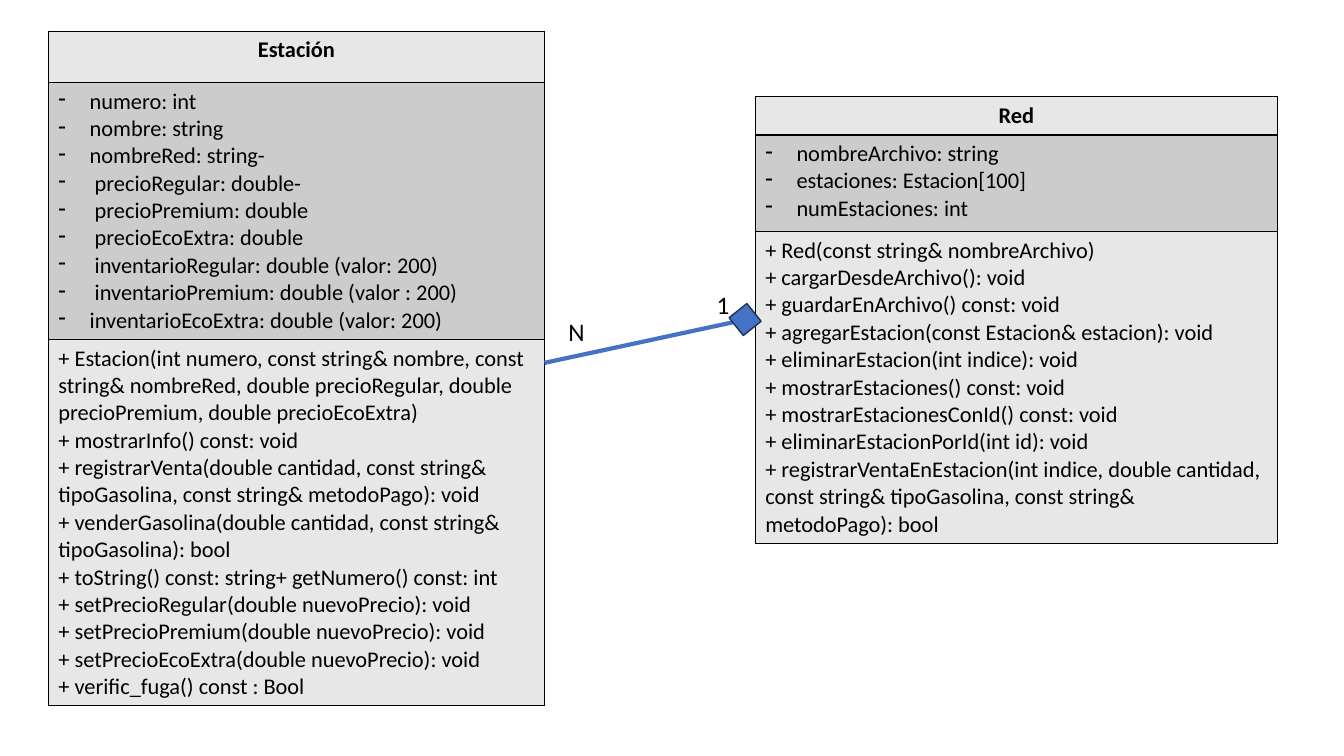
"""Draw a class diagram of stations and their network."""
from lxml.etree import SubElement as Sub
from pptx import Presentation
from pptx.dml.color import RGBColor as Rgb
from pptx.enum.shapes import MSO_CONNECTOR as Link, MSO_SHAPE as Kind
from pptx.enum.text import MSO_AUTO_SIZE as Auto, PP_ALIGN as Align
from pptx.oxml import parse_xml
from pptx.oxml.ns import nsdecls, qn
from pptx.util import Inches, Pt

HUES = {"ink": "000000", "pale": "E7E7E7", "gray": "CCCCCC",
        "blue": "4472C4", "navy": "1E3256"}
FONT = "Calibri"
DENT = 0.31

BOXES = [
    {
        "name": "Estación",
        "at": (0.48, 0.31, 4.92),
        "rows": (0.51, 2.55, 3.63),
        "data": [
            "numero: int",
            "nombre: string",
            "nombreRed: string-",
            " precioRegular: double-",
            " precioPremium: double",
            " precioEcoExtra: double",
            " inventarioRegular: double (valor: 200)",
            " inventarioPremium: double (valor : 200)",
            "inventarioEcoExtra: double (valor: 200)",
        ],
        "calls": [
            "+ Estacion(int numero, const string& nombre, const string& nombreRed, "
            "double precioRegular, double precioPremium, double precioEcoExtra)",
            "+ mostrarInfo() const: void",
            "+ registrarVenta(double cantidad, const string& tipoGasolina, "
            "const string& metodoPago): void",
            "+ venderGasolina(double cantidad, const string& tipoGasolina): bool",
            "+ toString() const: string+ getNumero() const: int",
            "+ setPrecioRegular(double nuevoPrecio): void",
            "+ setPrecioPremium(double nuevoPrecio): void",
            "+ setPrecioEcoExtra(double nuevoPrecio): void",
            "+ verific_fuga() const : Bool",
        ],
    },
    {
        "name": "Red",
        "at": (7.49, 0.96, 5.18),
        "rows": (0.38, 0.96, 3.09),
        "data": [
            "nombreArchivo: string",
            "estaciones: Estacion[100]",
            "numEstaciones: int",
        ],
        "calls": [
            "+ Red(const string& nombreArchivo)",
            "+ cargarDesdeArchivo(): void",
            "+ guardarEnArchivo() const: void",
            "+ agregarEstacion(const Estacion& estacion): void",
            "+ eliminarEstacion(int indice): void",
            "+ mostrarEstaciones() const: void",
            "+ mostrarEstacionesConId() const: void",
            "+ eliminarEstacionPorId(int id): void",
            "+ registrarVentaEnEstacion(int indice, double cantidad, "
            "const string& tipoGasolina, const string& metodoPago): bool",
        ],
    },
]
ENDS = [("1", (7.01, 2.82, 0.33, 0.4)), ("N", (5.54, 3.09, 0.36, 0.4))]
LINE = (5.4, 3.6, 7.49, 3.15)
GEM = (7.23, 3.01, 0.32, 0.32)
TURN = 6.4


def inch(nums):
    return [Inches(num) for num in nums]


def hue(name):
    return Rgb.from_string(HUES[name])


def style(para, size, bold=False):
    font = para.font
    font.name, font.size, font.bold = FONT, Pt(size), bold
    font.color.rgb = hue("ink")


def dash(para):
    props = para._p.get_or_add_pPr()
    props.set("marL", str(Inches(DENT)))
    props.set("indent", str(-Inches(DENT)))
    props.insert(0, parse_xml(f'<a:buChar {nsdecls("a")} char="-"/>'))


def edge(cell):
    props = cell._tc.get_or_add_tcPr()
    for spot, side in enumerate("LRTB"):
        props.insert(spot, parse_xml(
            f'<a:ln{side} {nsdecls("a")} w="{Pt(1)}"><a:solidFill>'
            f'<a:srgbClr val="{HUES["ink"]}"/></a:solidFill></a:ln{side}>'))


def add_box(shapes, box):
    left, top, wide = box["at"]
    table = shapes.add_table(3, 1, *inch((left, top, wide, sum(box["rows"])))).table
    table.first_row = table.horz_banding = False
    parts = ([box["name"]], box["data"], box["calls"])
    for row, (lines, high) in enumerate(zip(parts, box["rows"])):
        table.rows[row].height = Inches(high)
        cell = table.cell(row, 0)
        cell.fill.solid()
        cell.fill.fore_color.rgb = hue("gray" if row == 1 else "pale")
        edge(cell)
        cell.text_frame.text = "\n".join(lines)
        for para in cell.text_frame.paragraphs:
            style(para, 16, row == 0)
            if row == 0:
                para.alignment = Align.CENTER
            elif row == 1:
                dash(para)


def add_link(shapes):
    line = shapes.add_connector(Link.STRAIGHT, *inch(LINE))
    line.line.color.rgb = hue("blue")
    line.line.width = Pt(3)
    Sub(line._element.spPr, qn("a:effectLst"))
    gem = shapes.add_shape(Kind.DIAMOND, *inch(GEM))
    gem.rotation = TURN
    gem.shadow.inherit = False
    gem.fill.solid()
    gem.fill.fore_color.rgb = hue("blue")
    gem.line.color.rgb = hue("navy")
    gem.line.width = Pt(1)


def add_end(shapes, text, spot):
    frame = shapes.add_textbox(*inch(spot)).text_frame
    frame.word_wrap = False
    frame.auto_size = Auto.SHAPE_TO_FIT_TEXT
    frame.text = text
    style(frame.paragraphs[0], 18)


def main():
    deck = Presentation()
    deck.slide_width, deck.slide_height = inch((13.33, 7.5))
    shapes = deck.slides.add_slide(deck.slide_layouts[6]).shapes
    for box in BOXES:
        add_box(shapes, box)
    add_link(shapes)
    for text, spot in ENDS:
        add_end(shapes, text, spot)
    deck.save("out.pptx")


if __name__ == "__main__":
    main()
